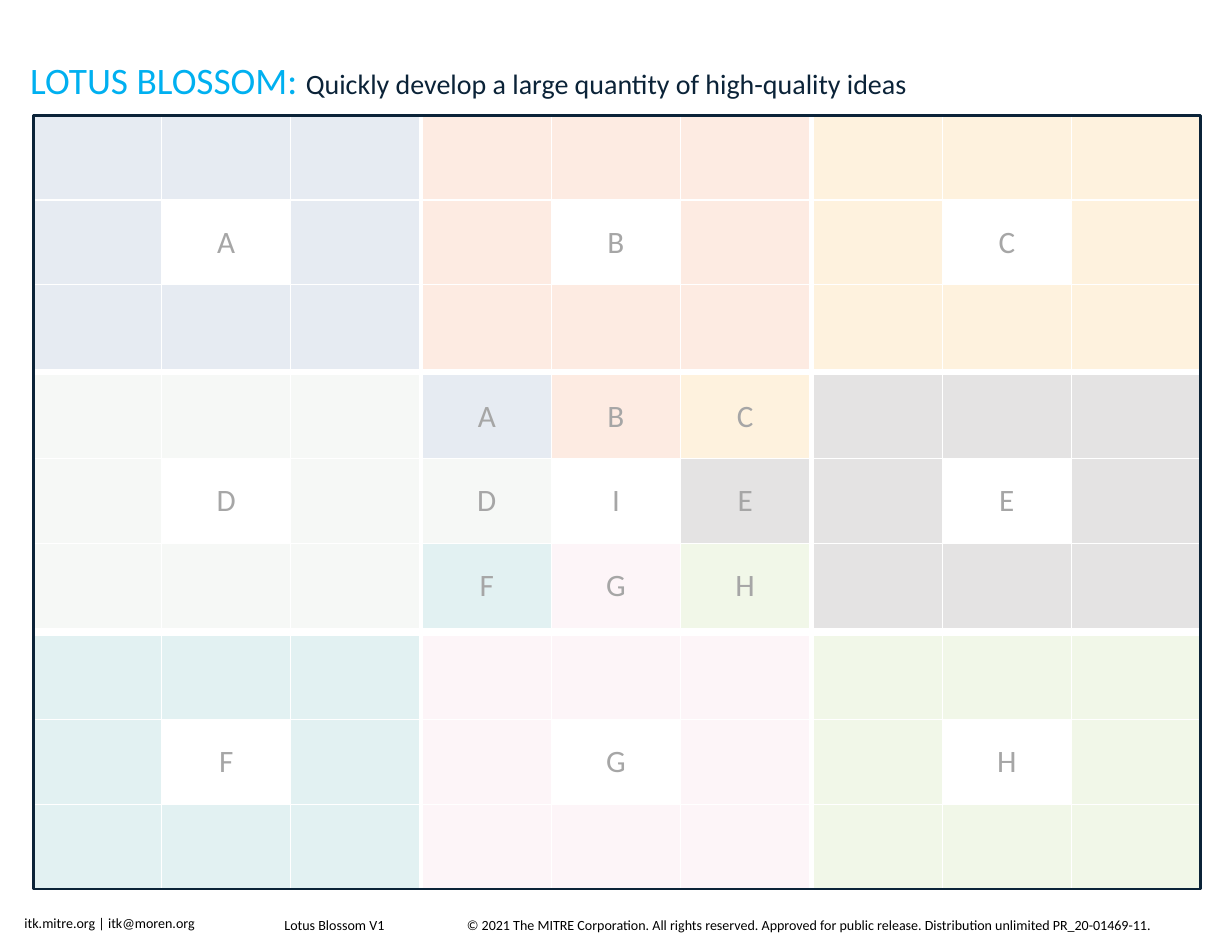
from typing import NamedTuple

from lxml import etree
from pptx import Presentation
from pptx.dml.color import RGBColor
from pptx.enum.shapes import MSO_SHAPE
from pptx.enum.text import MSO_ANCHOR, MSO_AUTO_SIZE, PP_ALIGN
from pptx.oxml.ns import qn
from pptx.util import Inches, Pt

RECT = MSO_SHAPE.RECTANGLE
TOP, MIDDLE = MSO_ANCHOR.TOP, MSO_ANCHOR.MIDDLE
LEFT, CENTER = PP_ALIGN.LEFT, PP_ALIGN.CENTER
NO_FIT = MSO_AUTO_SIZE.NONE

FONT = "Calibri"
WHITE, BLACK, NAVY, SKY, GREY = "FFFFFF", "000000", "0B2338", "00B0F0", "A6A6A6"
TITLE_ONLY = 5
BLOCK_W, BLOCK_H = 3.46, 2.27
BLOCK_LEFTS = (0.29, 3.77, 7.26)
BLOCK_TOPS = (1.03, 3.34, 5.67)


class Petal(NamedTuple):
    letter: str
    color: str


class Footer(NamedTuple):
    text: str
    x: float
    y: float
    w: float
    align: PP_ALIGN


# Row by row; the centre petal holds the main idea
PETALS = (
    Petal("A", "E6EBF2"), Petal("B", "FDEBE2"), Petal("C", "FEF2DE"),
    Petal("D", "F6F8F6"), Petal("I", WHITE), Petal("E", "E4E3E3"),
    Petal("F", "E2F1F2"), Petal("G", "FDF5F8"), Petal("H", "F1F7E8"),
)
CENTRE = 4

FOOTERS = (
    Footer("itk.mitre.org | itk@moren.org", 0.12, 8.12, 1.72, LEFT),
    Footer("Lotus Blossom V1", 2.39, 8.13, 1.19, CENTER),
    Footer("© 2021 The MITRE Corporation. All rights reserved. Approved for "
           "public release. Distribution unlimited PR_20-01469-11.",
           4.07, 8.13, 6.38, LEFT),
)


def rgb(color: str) -> RGBColor:
    return RGBColor.from_string(color)


def add_run(p, text: str, size: float, color: str) -> None:
    r = p.add_run()
    r.text = text
    r.font.name = FONT
    r.font.size = Pt(size)
    r.font.color.rgb = rgb(color)


def set_borders(cell, color: str, width: float) -> None:
    tcPr = cell._tc.get_or_add_tcPr()
    for side in ("lnL", "lnR", "lnT", "lnB"):
        ln = etree.SubElement(tcPr, qn(f"a:{side}"), w=str(Pt(width)))
        fill = etree.SubElement(ln, qn("a:solidFill"))
        etree.SubElement(fill, qn("a:srgbClr"), val=color)


def add_block(s, x: float, y: float, petals: list[Petal]) -> None:
    """Add a 3 x 3 table with one petal per cell."""
    table = s.shapes.add_table(3, 3, Inches(x), Inches(y),
                               Inches(BLOCK_W), Inches(BLOCK_H)).table
    table.first_row = table.horz_banding = False
    for cell, petal in zip(table.iter_cells(), petals):
        set_borders(cell, WHITE, 1)
        cell.fill.solid()
        cell.fill.fore_color.rgb = rgb(petal.color)
        cell.vertical_anchor = MIDDLE
        if petal.letter:
            p = cell.text_frame.paragraphs[0]
            p.alignment = CENTER
            add_run(p, petal.letter, 20, GREY)


def add_blossom(s) -> None:
    for i, petal in enumerate(PETALS):
        row, col = divmod(i, 3)
        if i == CENTRE:
            cells = list(PETALS)
        else:
            cells = [Petal("", petal.color)] * len(PETALS)
            cells[CENTRE] = Petal(petal.letter, WHITE)
        add_block(s, BLOCK_LEFTS[col], BLOCK_TOPS[row], cells)


def add_frame(s) -> None:
    sp = s.shapes.add_shape(RECT, Inches(0.3), Inches(1.03),
                            Inches(10.42), Inches(6.91))
    sp.shadow.inherit = False
    sp.fill.background()
    sp.line.color.rgb = rgb(NAVY)
    sp.line.width = Pt(1.5)


def set_title(s) -> None:
    sp = s.shapes.title
    sp.left, sp.top = Inches(0.17), Inches(0.46)
    sp.width, sp.height = Inches(8.47), Inches(0.5)
    tf = sp.text_frame
    tf.word_wrap = True
    tf.auto_size = NO_FIT
    tf.vertical_anchor = TOP
    p = tf.paragraphs[0]
    p.alignment = LEFT
    add_run(p, "LOTUS BLOSSOM: ", 24, SKY)
    add_run(p, "Quickly develop a large quantity of high-quality ideas", 18, NAVY)


def add_footer(s, footer: Footer) -> None:
    sp = s.shapes.add_textbox(Inches(footer.x), Inches(footer.y),
                              Inches(footer.w), Inches(0.25))
    tf = sp.text_frame
    tf.word_wrap = False
    p = tf.paragraphs[0]
    p.alignment = footer.align
    add_run(p, footer.text, 9, BLACK)


def main() -> None:
    prs = Presentation()
    prs.slide_width, prs.slide_height = Inches(11), Inches(8.5)
    s = prs.slides.add_slide(prs.slide_layouts[TITLE_ONLY])
    set_title(s)
    add_blossom(s)
    add_frame(s)
    for footer in FOOTERS:
        add_footer(s, footer)
    prs.save("out.pptx")


if __name__ == "__main__":
    main()
